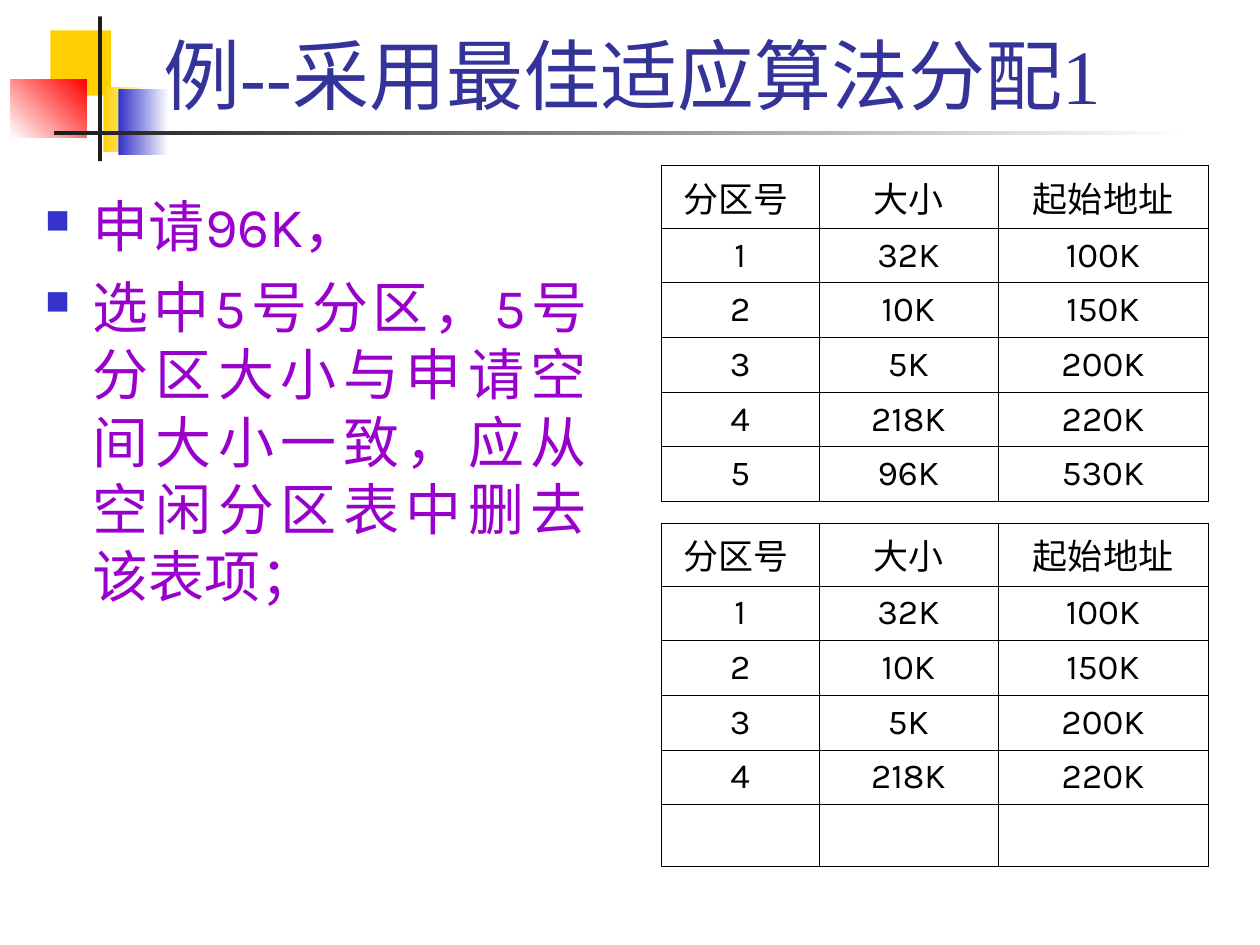
from lxml import etree
from pptx import Presentation
from pptx.dml.color import RGBColor
from pptx.enum.shapes import MSO_SHAPE
from pptx.enum.text import MSO_ANCHOR, MSO_AUTO_SIZE, PP_ALIGN
from pptx.oxml import parse_xml
from pptx.oxml.ns import nsdecls, qn
from pptx.util import Inches, Pt

SERIF, SANS = "Times New Roman", "Karla"


def rgb(value):
    return RGBColor.from_string(value)


def add_text(p, text, size=20, color="000000", font=SANS, align=PP_ALIGN.CENTER):
    p.alignment = align
    r = p.add_run()
    r.text = text
    r.font.size = Pt(size)
    r.font.name = font
    r.font.color.rgb = rgb(color)


prs = Presentation()
prs.slide_width, prs.slide_height = Inches(10), Inches(7.5)
s = prs.slides.add_slide(prs.slide_layouts[5])

# Corner decoration: left, top, width, height, colours, gradient angle
decoration = [
    (0.4, 0.24, 0.48, 0.52, ["FFCF01"], 0),
    (0.82, 0.69, 0.36, 0.52, ["FFCF01", "FFFFFF"], 0),
    (0.94, 0.71, 0.4, 0.52, ["3333CC", "FFFFFF"], 0),
    (0.08, 0.63, 0.61, 0.46, ["FFFFFF", "FF0000"], 45),
    (0.78, 0.13, 0.03, 1.15, ["1C1C1C"], 0),
    (0.43, 1.04, 9, 0.03, ["1C1C1C", "FFFFFF"], 0),
]
for x, y, w, h, colors, angle in decoration:
    sp = s.shapes.add_shape(MSO_SHAPE.RECTANGLE, Inches(x), Inches(y), Inches(w), Inches(h))
    sp.shadow.inherit = False
    sp.line.fill.background()
    if len(colors) == 1:
        sp.fill.solid()
        sp.fill.fore_color.rgb = rgb(colors[0])
    else:
        sp.fill.gradient()
        sp.fill.gradient_angle = angle
        for stop, color in zip(sp.fill.gradient_stops, colors):
            stop.color.rgb = rgb(color)

# Title, placed in front of the decoration
title = s.shapes.title
s.shapes._spTree.append(title._element)
title.left, title.top = Inches(1.2), Inches(0.17)
title.width, title.height = Inches(8.52), Inches(0.83)
tf = title.text_frame
tf.auto_size = MSO_AUTO_SIZE.NONE
tf.vertical_anchor = MSO_ANCHOR.BOTTOM
add_text(tf.paragraphs[0], "例--采用最佳适应算法分配1", size=44, color="333399",
         font=SERIF, align=PP_ALIGN.LEFT)

# Bulleted explanation
bullets = [
    [("申请", SERIF), ("96K", SANS), ("，", SERIF)],
    [("选中", SERIF), ("5", SANS), ("号分区，", SERIF), ("5", SANS),
     ("号分区大小与申请空间大小一致，应从空闲分区表中删去该表项；", SERIF)],
]
tf = s.shapes.add_textbox(Inches(0.26), Inches(1.47), Inches(4.5), Inches(5.42)).text_frame
tf.word_wrap = True
for i, runs in enumerate(bullets):
    p = tf.add_paragraph() if i else tf.paragraphs[0]
    pPr = p._p.get_or_add_pPr()
    pPr.set("marL", str(Inches(0.38)))
    pPr.set("indent", str(Inches(-0.38)))
    color = etree.SubElement(pPr, qn("a:buClr"))
    etree.SubElement(color, qn("a:srgbClr"), val="3333CC")
    etree.SubElement(pPr, qn("a:buSzPct"), val="60000")
    etree.SubElement(pPr, qn("a:buChar"), char="■")
    if i:
        p.space_before = Pt(8)
    for text, font in runs:
        add_text(p, text, size=32, color="9900CC", font=font, align=PP_ALIGN.JUSTIFY)

# Free partition tables before and after the allocation
header = ("分区号 ", "大小", "起始地址")
partitions = [("1", "32K", "100K"), ("2", "10K", "150K"), ("3", "5K", "200K"),
              ("4", "218K", "220K")]
tables = [
    (1.31, [header, *partitions, ("5", "96K", "530K")]),
    (4.15, [header, *partitions, ("", "", "")]),
]
for top, rows in tables:
    frame = s.shapes.add_table(len(rows), len(header), Inches(5.25), Inches(top),
                               Inches(4.34), Inches(2.6))
    table = frame.table
    table.first_row = table.horz_banding = False
    for column, width in zip(table.columns, (1.25, 1.42, 1.67)):
        column.width = Inches(width)
    for i, row in enumerate(rows):
        table.rows[i].height = Inches(0.5 if i == 0 else 0.43 if row[0] else 0.49)
        for j, text in enumerate(row):
            cell = table.cell(i, j)
            cell.vertical_anchor = MSO_ANCHOR.MIDDLE
            tcPr = cell._tc.get_or_add_tcPr()
            for side in ("lnL", "lnR", "lnT", "lnB"):
                tcPr.append(parse_xml(
                    f'<a:{side} {nsdecls("a")} w="{Pt(0.45)}"><a:solidFill>'
                    f'<a:srgbClr val="000000"/></a:solidFill></a:{side}>'))
            cell.fill.background()
            if text:
                add_text(cell.text_frame.paragraphs[0], text,
                         font=SERIF if text == header[0] else SANS)

prs.save("out.pptx")
